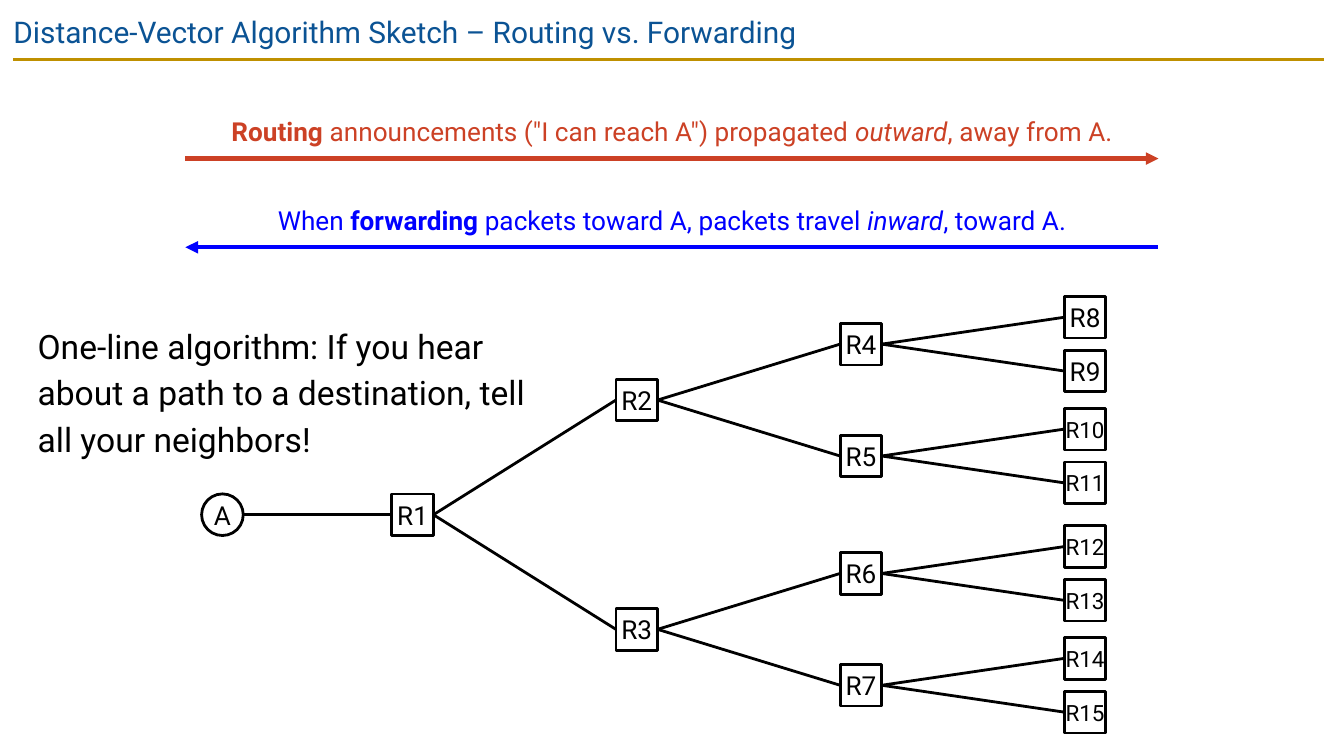
from typing import NamedTuple

from lxml.etree import SubElement
from pptx import Presentation
from pptx.dml.color import RGBColor
from pptx.enum.shapes import MSO_CONNECTOR as Link, MSO_SHAPE as Kind
from pptx.enum.text import MSO_ANCHOR as Anchor, MSO_AUTO_SIZE as Fit, PP_ALIGN as Align
from pptx.oxml.ns import qn
from pptx.util import Inches, Pt

COLORS = {
    "title": "0B5394",
    "rule": "BF9000",
    "out": "CC4125",
    "in": "0000FF",
    "ink": "000000",
    "paper": "FFFFFF",
}
FONT = "Roboto"
CELL = Inches(0.1)
COLS, ROWS = 100, 56.25
SIDE = 3.1
ROOT_COL, ROOT_ROW = 29.15, 38.3
STEP = 16.68
SPREAD = [8.53, 4.16, 2]


class Box(NamedTuple):
    col: float
    row: float
    wide: float
    high: float


class Flow(NamedTuple):
    row: float
    color: str
    end: str
    runs: list[tuple[str, str]]


FLOWS = [
    Flow(11.8, "out", "tailEnd", [
        ("Routing", "b"),
        (' announcements ("I can reach A") propagated ', ""),
        ("outward", "i"),
        (", away from A.", ""),
    ]),
    Flow(18.4, "in", "headEnd", [
        ("When ", ""),
        ("forwarding", "b"),
        (" packets toward A, packets travel ", ""),
        ("inward", "i"),
        (", toward A.", ""),
    ]),
]


def grid(*cells: float) -> list[int]:
    return [round(cell * CELL) for cell in cells]


def tint(name: str) -> RGBColor:
    return RGBColor.from_string(COLORS[name])


def place(shape, box: Box) -> None:
    shape.left, shape.top, shape.width, shape.height = grid(*box)


def write(shape, runs, *, size: float, color: str = "ink", align=Align.LEFT,
          anchor=Anchor.TOP, inset: float = 1, spacing: float = 1) -> None:
    frame = shape.text_frame
    frame.word_wrap = True
    frame.auto_size = Fit.NONE
    frame.vertical_anchor = anchor
    pad = grid(inset)[0]
    frame.margin_left = frame.margin_right = pad
    frame.margin_top = frame.margin_bottom = pad
    para = frame.paragraphs[0]
    para.alignment = align
    para.line_spacing = spacing
    para.space_before = Pt(0)
    for text, style in runs:
        run = para.add_run()
        run.text = text
        font = run.font
        font.name, font.size = FONT, Pt(size)
        font.bold, font.italic = style == "b", style == "i"
        font.color.rgb = tint(color)


def draw_line(slide, ends: tuple[float, ...], color: str = "ink",
              width: float = 1.5, end: str = ""):
    line = slide.shapes.add_connector(Link.STRAIGHT, *grid(*ends))
    line.line.color.rgb = tint(color)
    line.line.width = Pt(width)
    if end:
        SubElement(line.line._get_or_add_ln(), qn(f"a:{end}"), type="triangle")
    SubElement(line._element.spPr, qn("a:effectLst"))
    return line


def draw_node(slide, name: str, col: float, mid: float, kind=Kind.RECTANGLE):
    node = slide.shapes.add_shape(kind, *grid(col, mid - SIDE / 2, SIDE, SIDE))
    node.shadow.inherit = False
    node.fill.solid()
    node.fill.fore_color.rgb = tint("paper")
    node.line.color.rgb = tint("ink")
    node.line.width = Pt(1.5)
    write(node, [(name, "")], size=12 if len(name) > 2 else 14,
          align=Align.CENTER, anchor=Anchor.MIDDLE, inset=0)
    return node


def draw_tree(slide) -> None:
    host = 15
    draw_node(slide, "A", host, ROOT_ROW, Kind.OVAL)
    nodes = {1: draw_node(slide, "R1", ROOT_COL, ROOT_ROW)}
    mids = {1: ROOT_ROW}
    edge = draw_line(slide, (host + SIDE, ROOT_ROW, ROOT_COL, ROOT_ROW))
    edge.end_connect(nodes[1], 1)
    for num in range(2, 16):
        level = num.bit_length() - 1
        top = num // 2
        sign = 1 if num % 2 else -1
        mids[num] = mids[top] + sign * SPREAD[level - 1]
        col = ROOT_COL + level * STEP
        nodes[num] = draw_node(slide, f"R{num}", col, mids[num])
        edge = draw_line(slide, (col - STEP + SIDE, mids[top], col, mids[num]))
        edge.begin_connect(nodes[top], 3)
        edge.end_connect(nodes[num], 1)


def draw_flow(slide, flow: Flow) -> None:
    left, right = 13.8, 86.2
    draw_line(slide, (left, flow.row, right, flow.row), flow.color, 2.25, flow.end)
    label = slide.shapes.add_textbox(*grid(left, flow.row - 3.5, right - left, 3))
    write(label, flow.runs, size=14, color=flow.color, align=Align.CENTER, inset=0.3)


def main() -> None:
    deck = Presentation()
    deck.slide_width, deck.slide_height = grid(COLS, ROWS)
    slide = deck.slides.add_slide(deck.slide_layouts[1])

    title = slide.shapes.title
    place(title, Box(0, 0, COLS, 4.3))
    write(title, [("Distance-Vector Algorithm Sketch – Routing vs. Forwarding", "")],
          size=16, color="title")
    draw_line(slide, (1, 4.4, 98.5, 4.4), "rule")

    body = slide.placeholders[1]
    place(body, Box(1.8, 22.8, 39.6, 7.7))
    props = body.text_frame.paragraphs[0]._p.get_or_add_pPr()
    props.set("marL", "0")
    props.set("indent", "0")
    SubElement(props, qn("a:buNone"))
    write(body, [("One-line algorithm: If you hear about a path to a destination, "
                  "tell all your neighbors!", "")], size=18, spacing=1.15)

    draw_tree(slide)
    for flow in FLOWS:
        draw_flow(slide, flow)
    deck.save("out.pptx")


if __name__ == "__main__":
    main()
